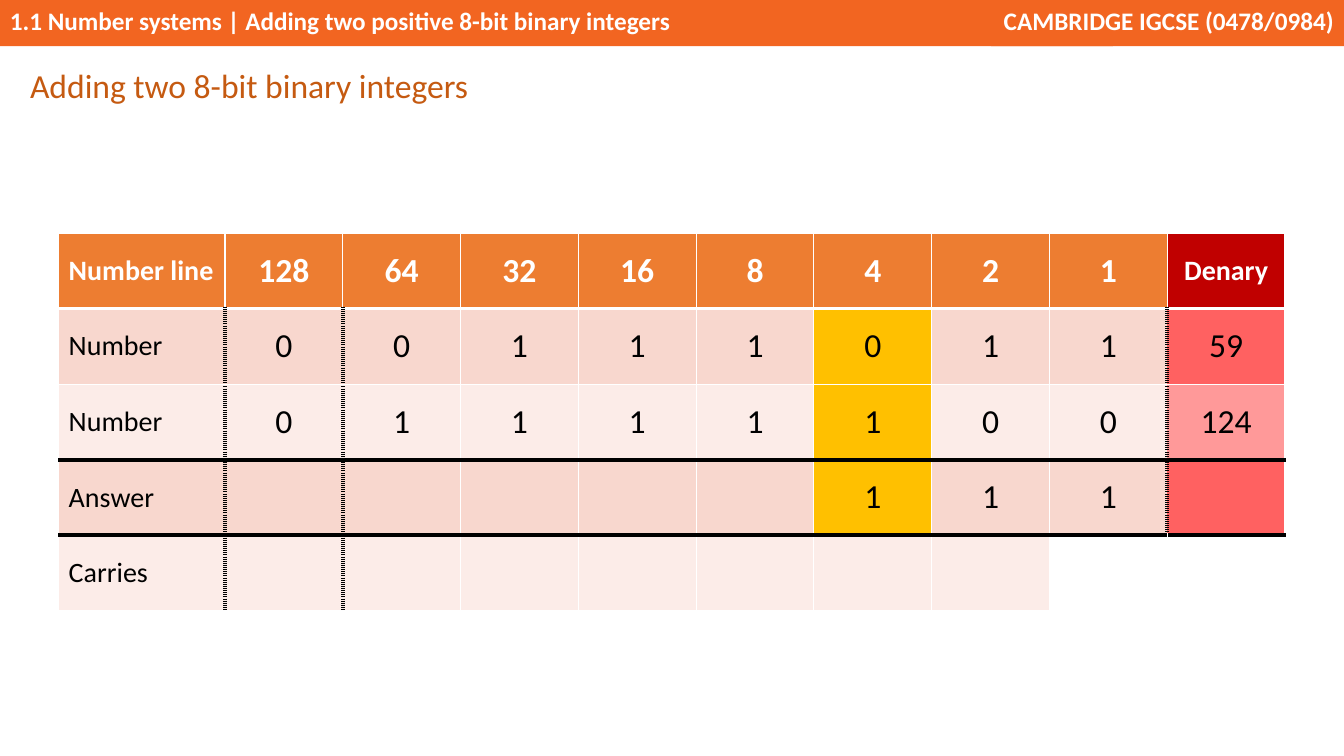
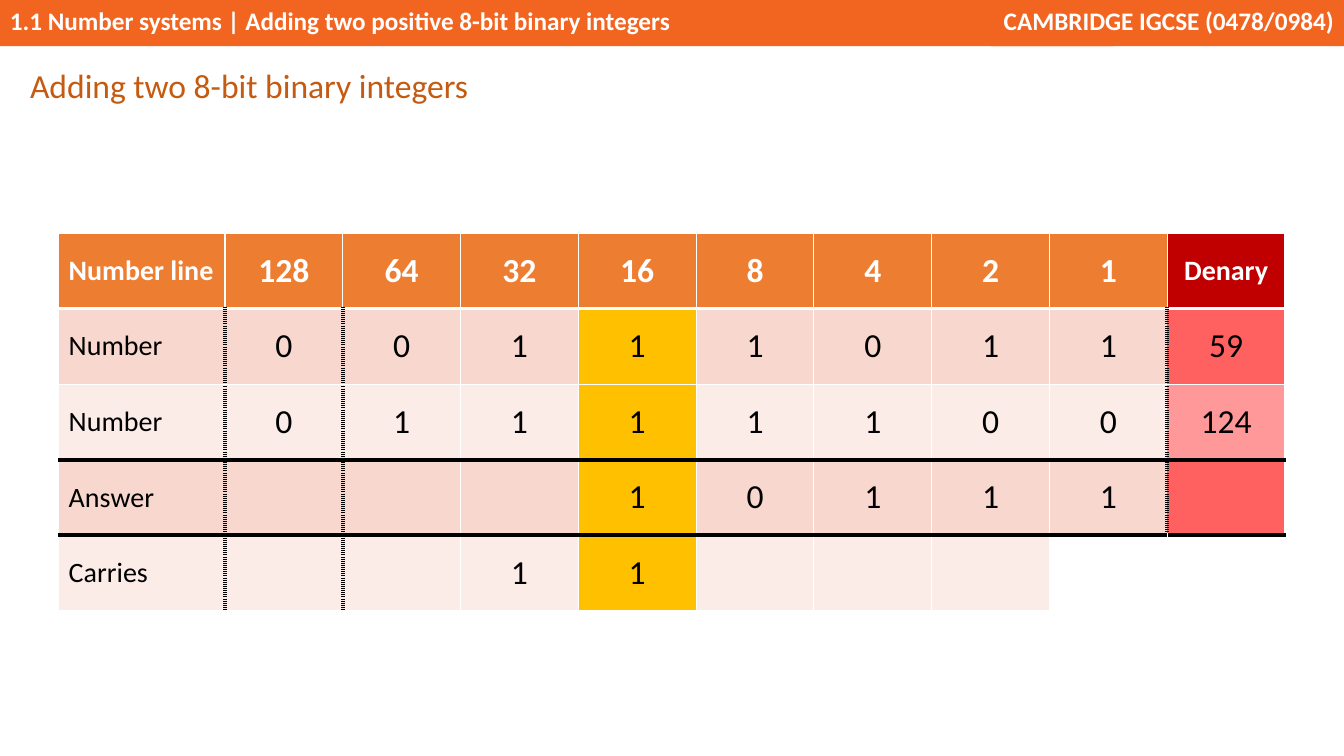
"""Build two slides that add 8-bit binary integers column by column."""
from dataclasses import dataclass

from lxml import etree
from pptx import Presentation
from pptx.dml.color import RGBColor
from pptx.enum.shapes import MSO_SHAPE
from pptx.enum.text import MSO_ANCHOR, MSO_AUTO_SIZE, PP_ALIGN
from pptx.oxml.ns import qn
from pptx.util import Pt

LEFT, CENTER, RIGHT = PP_ALIGN.LEFT, PP_ALIGN.CENTER, PP_ALIGN.RIGHT
TOP, MIDDLE = MSO_ANCHOR.TOP, MSO_ANCHOR.MIDDLE
RECTANGLE = MSO_SHAPE.RECTANGLE
GROW = MSO_AUTO_SIZE.SHAPE_TO_FIT_TEXT


@dataclass(frozen=True)
class Theme:
    font: str = "Calibri"
    band: str = "F26521"
    title: str = "C55A11"
    header: str = "ED7D31"
    denary_header: str = "C00000"
    row_fills: tuple = ("F8D7CE", "FCECE8")
    denary_fills: tuple = ("FF6161", "FF9999")
    highlight: str = "FFC000"
    white: str = "FFFFFF"
    black: str = "000000"
    band_size: int = 18
    label_size: int = 20
    digit_size: int = 24


THEME = Theme()
BANDS = [
    ("1.1 Number systems | Adding two positive 8-bit binary integers", 0, 795, LEFT),
    ("CAMBRIDGE IGCSE (0478/0984)", 708, 252, RIGHT),
]
TITLE = "Adding two 8-bit binary integers"
PLACES = [128, 64, 32, 16, 8, 4, 2, 1]
HEADER = ["Number line", *map(str, PLACES), "Denary"]
NUMBERS = [59, 124]
STEPS = [
    {"place": 4, "marked_rows": (1, 2, 3), "answer": "111", "carries": {}},
    {"place": 16, "marked_rows": (1, 2, 3, 4), "answer": "10111",
     "carries": {32: "1", 16: "1"}},
]

LABEL_WIDTH, DIGIT_WIDTH, ROW_HEIGHT = 118.8, 84.15, 54
DENARY = len(HEADER) - 1
CARRIES = 4
THIN, THICK = (THEME.white, 1, "solid"), (THEME.white, 3, "solid")
RULE, DOTS = (THEME.black, 3, "solid"), (THEME.black, 3, "dot")
ROW_EDGES = [THIN, THICK, THIN, RULE, RULE, THIN]
DOTTED_EDGES = {1: (1, 2, 3, 4), 2: (1, 2, 3, 4), DENARY: (1, 2, 3)}


def write(frame, text, *, size, color, bold=False, align=LEFT, anchor=TOP,
          line_spacing=None, space_after=None):
    """Put one formatted paragraph in a text frame."""
    frame.word_wrap = True
    frame.vertical_anchor = anchor
    para = frame.paragraphs[0]
    para.alignment = align
    para.line_spacing = line_spacing
    para.space_after = None if space_after is None else Pt(space_after)
    span = para.add_run()
    span.text = text
    font = span.font
    font.name, font.size, font.bold = THEME.font, Pt(size), bold
    font.color.rgb = RGBColor.from_string(color)


def add_heading(slide):
    """Add the bands and the title that every slide has."""
    for text, left, width, align in BANDS:
        band = slide.shapes.add_shape(RECTANGLE, Pt(left), 0, Pt(width), Pt(33))
        band.shadow.inherit = False
        band.fill.solid()
        band.fill.fore_color.rgb = RGBColor.from_string(THEME.band)
        band.line.fill.background()
        write(band.text_frame, text, size=THEME.band_size, color=THEME.white,
              bold=True, align=align)
    box = slide.shapes.add_textbox(Pt(14.4), Pt(41), Pt(345.6), Pt(36.7))
    write(box.text_frame, TITLE, size=THEME.digit_size, color=THEME.title,
          line_spacing=1.07, space_after=8)
    box.text_frame.auto_size = GROW


def table_rows(step):
    """Return the text of each row for one step of the addition."""
    numbers = [["Number", *f"{number:08b}", str(number)] for number in NUMBERS]
    answer = ["Answer", *step["answer"].rjust(len(PLACES)), ""]
    carries = ["Carries", *(step["carries"].get(place, "") for place in PLACES), ""]
    return [HEADER, *numbers, answer, carries]


def cell_fill(row, column, step):
    """Choose the fill of a cell from its place in the table."""
    if row == 0:
        return THEME.denary_header if column == DENARY else THEME.header
    if row == CARRIES and column >= DENARY - 1:
        return THEME.white
    if row in step["marked_rows"] and HEADER[column] == str(step["place"]):
        return THEME.highlight
    fills = THEME.denary_fills if column == DENARY else THEME.row_fills
    return fills[(row - 1) % 2]


def column_edge(row, edge):
    """Return the style of one vertical edge in a row."""
    return DOTS if row in DOTTED_EDGES.get(edge, ()) else THIN


def set_borders(cell, **borders):
    """Draw the given sides, named as in the table markup and in its order."""
    properties = cell._tc.get_or_add_tcPr()
    for index, (side, (color, width, dash)) in enumerate(borders.items()):
        line = etree.Element(qn(f"a:{side}"), w=str(Pt(width)))
        fill = etree.SubElement(line, qn("a:solidFill"))
        etree.SubElement(fill, qn("a:srgbClr"), val=color)
        etree.SubElement(line, qn("a:prstDash"), val=dash)
        properties.insert(index, line)


def add_addition_table(slide, step):
    """Add the number table as it stands at one step."""
    rows = table_rows(step)
    widths = [LABEL_WIDTH] + [DIGIT_WIDTH] * DENARY
    table = slide.shapes.add_table(
        len(rows), len(widths), Pt(41.9), Pt(166.4),
        Pt(sum(widths)), Pt(ROW_HEIGHT * len(rows))).table
    table.first_row = table.horz_banding = False
    for column, width in enumerate(widths):
        table.columns[column].width = Pt(width)
    for row, texts in enumerate(rows):
        table.rows[row].height = Pt(ROW_HEIGHT)
        for column, text in enumerate(texts):
            cell = table.cell(row, column)
            cell.fill.solid()
            cell.fill.fore_color.rgb = RGBColor.from_string(
                cell_fill(row, column, step))
            set_borders(cell, lnL=column_edge(row, column),
                        lnR=column_edge(row, column + 1),
                        lnT=ROW_EDGES[row], lnB=ROW_EDGES[row + 1])
            cell.vertical_anchor = MIDDLE
            if text.strip():
                is_label = column == 0 or text == HEADER[DENARY]
                write(cell.text_frame, text, anchor=None,
                      size=THEME.label_size if is_label else THEME.digit_size,
                      color=THEME.white if row == 0 else THEME.black,
                      bold=row == 0, align=LEFT if column == 0 else CENTER)


def main():
    """Build and save the deck."""
    deck = Presentation()
    deck.slide_width, deck.slide_height = Pt(960), Pt(540)
    for step in STEPS:
        slide = deck.slides.add_slide(deck.slide_layouts[6])
        add_heading(slide)
        add_addition_table(slide, step)
    deck.save("out.pptx")


if __name__ == "__main__":
    main()
